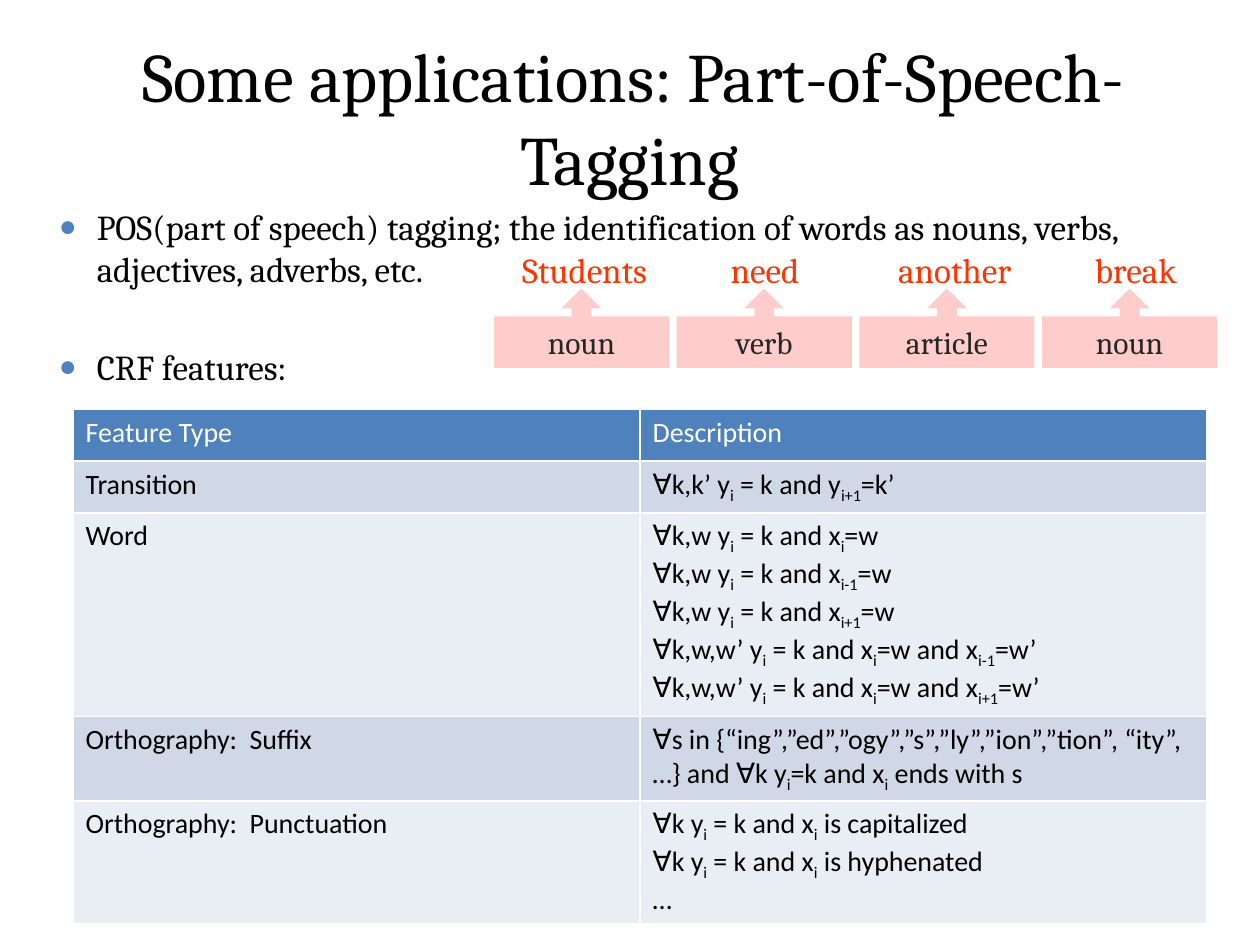
from dataclasses import dataclass

from lxml.etree import SubElement
from pptx import Presentation
from pptx.dml.color import RGBColor
from pptx.enum.shapes import MSO_SHAPE as Preset
from pptx.enum.text import MSO_ANCHOR as Anchor, PP_ALIGN as Align
from pptx.oxml import parse_xml
from pptx.oxml.ns import nsdecls, qn
from pptx.util import Inches, Pt

BLACK = RGBColor(0x00, 0x00, 0x00)
WHITE = RGBColor(0xFF, 0xFF, 0xFF)
BLUE = RGBColor(0x4F, 0x81, 0xBD)
RED = RGBColor(0xFF, 0x33, 0x00)
PINK = RGBColor(0xFF, 0xCC, 0xCC)
CHARCOAL = RGBColor(0x26, 0x26, 0x26)
BAND_DARK = RGBColor(0xD0, 0xD8, 0xE8)
BAND_LIGHT = RGBColor(0xE9, 0xED, 0xF4)

TITLE_FORMAT = {"name": "Cambria", "size": Pt(39.6)}
BODY_FORMAT = {"name": "Cambria", "size": Pt(20)}
TAG_FORMAT = {"name": "Cambria", "size": Pt(18)}
TABLE_FORMAT = {"name": "Calibri", "size": Pt(16)}


@dataclass(frozen=True)
class TaggedWord:
    word: str
    tag: str
    left: float
    align: Align = Align.LEFT


@dataclass(frozen=True)
class Bullet:
    text: str
    space_before: float


@dataclass(frozen=True)
class Feature:
    """A table row; in each rule, every second part between bars is a subscript."""
    kind: str
    rules: tuple[str, ...]


SENTENCE = (
    TaggedWord("Students", "noun", 3.98, Align.CENTER),
    TaggedWord("need", "verb", 5.7),
    TaggedWord("another", "article", 7.03),
    TaggedWord("break", "noun", 8.59),
)
BULLETS = (
    Bullet("POS(part of speech) tagging; the identification of words as nouns, "
           "verbs, adjectives, adverbs, etc.", 4),
    Bullet("CRF features:", 32),
)
FEATURES = (
    Feature("Feature Type", ("Description",)),
    Feature("Transition", ("∀k,k’ y|i| = k and y|i+1|=k’",)),
    Feature("Word", (
        "∀k,w y|i| = k and x|i|=w",
        "∀k,w y|i| = k and x|i-1|=w",
        "∀k,w y|i| = k and x|i+1|=w",
        "∀k,w,w’ y|i| = k and x|i|=w and x|i-1|=w’",
        "∀k,w,w’ y|i| = k and x|i|=w and x|i+1|=w’",
    )),
    Feature("Orthography:  Suffix", (
        "∀s in {“ing”,”ed”,”ogy”,”s”,”ly”,”ion”,”tion”, “ity”, …} "
        "and ∀k y|i|=k and x|i| ends with s",
    )),
    Feature("Orthography:  Punctuation", (
        "∀k y|i| = k and x|i| is capitalized",
        "∀k y|i| = k and x|i| is hyphenated",
        "…",
    )),
)


def add_span(para, text: str, font_format: dict, color: RGBColor):
    span = para.add_run()
    span.text = text
    for attribute, value in font_format.items():
        setattr(span.font, attribute, value)
    span.font.color.rgb = color
    return span


def add_box(shapes, left: float, top: float, width: float, height: float):
    box = shapes.add_textbox(Inches(left), Inches(top), Inches(width), Inches(height))
    box.text_frame.word_wrap = True
    return box


def add_title(page, text: str) -> None:
    frame = add_box(page.shapes, 0.5, 0.3, 9, 1.25).text_frame
    frame.vertical_anchor = Anchor.MIDDLE
    para = frame.paragraphs[0]
    para.alignment = Align.CENTER
    add_span(para, text, TITLE_FORMAT, BLACK)


def add_sentence(page) -> None:
    group = page.shapes.add_group_shape()
    for index, item in enumerate(SENTENCE):
        label = add_box(group.shapes, item.left, 1.92, 1.32, 0.44)
        para = label.text_frame.paragraphs[0]
        para.alignment = item.align
        add_span(para, item.word, BODY_FORMAT, RED)

        callout = group.shapes.add_shape(
            Preset.UP_ARROW_CALLOUT, Inches(3.92 + 1.45 * index), Inches(2.29),
            Inches(1.39), Inches(0.63))
        callout.shadow.inherit = False
        callout.fill.solid()
        callout.fill.fore_color.rgb = PINK
        callout.line.fill.background()
        callout.text_frame.vertical_anchor = Anchor.MIDDLE
        para = callout.text_frame.paragraphs[0]
        para.alignment = Align.CENTER
        add_span(para, item.tag, TAG_FORMAT, CHARCOAL)


def set_bullet(para) -> None:
    properties = para._p.get_or_add_pPr()
    properties.set("marL", str(Inches(0.3)))
    properties.set("indent", str(-Inches(0.3)))
    color = SubElement(properties, qn("a:buClr"))
    SubElement(color, qn("a:srgbClr"), val=str(BLUE))
    SubElement(properties, qn("a:buSzPct"), val="85000")
    SubElement(properties, qn("a:buFont"), typeface="Arial")
    SubElement(properties, qn("a:buChar"), char="●")


def add_bullets(page) -> None:
    frame = add_box(page.shapes, 0.37, 1.58, 9.3, 5).text_frame
    for index, bullet in enumerate(BULLETS):
        para = frame.add_paragraph() if index else frame.paragraphs[0]
        para.space_before = Pt(bullet.space_before)
        set_bullet(para)
        add_span(para, bullet.text, BODY_FORMAT, BLACK)


def set_borders(cell) -> None:
    properties = cell._tc.get_or_add_tcPr()
    for position, side in enumerate(("lnL", "lnR", "lnT", "lnB")):
        properties.insert(position, parse_xml(
            f'<a:{side} {nsdecls("a")} w="{Pt(1)}"><a:solidFill>'
            f'<a:srgbClr val="{WHITE}"/></a:solidFill></a:{side}>'))


def fill_cell(cell, lines: tuple[str, ...], fill: RGBColor, color: RGBColor) -> None:
    cell.fill.solid()
    cell.fill.fore_color.rgb = fill
    set_borders(cell)
    frame = cell.text_frame
    for index, line in enumerate(lines):
        para = frame.add_paragraph() if index else frame.paragraphs[0]
        for position, part in enumerate(line.split("|")):
            span = add_span(para, part, TABLE_FORMAT, color)
            if position % 2:
                span.font._element.set("baseline", "-25000")


def add_feature_table(page) -> None:
    holder = page.shapes.add_table(
        len(FEATURES), 2, Inches(0.58), Inches(3.25), Inches(9), Inches(3.78))
    table = holder.table
    for row_index, feature in enumerate(FEATURES):
        table.rows[row_index].height = Inches(0.41)
        if row_index == 0:
            fill, color = BLUE, WHITE
        else:
            fill, color = (BAND_DARK if row_index % 2 else BAND_LIGHT), BLACK
        fill_cell(table.cell(row_index, 0), (feature.kind,), fill, color)
        fill_cell(table.cell(row_index, 1), feature.rules, fill, color)
    holder.height = Inches(3.78)


def main() -> None:
    deck = Presentation()
    deck.slide_width, deck.slide_height = Inches(10), Inches(7.5)
    page = deck.slides.add_slide(deck.slide_layouts[6])
    add_title(page, "Some applications: Part-of-Speech-Tagging")
    add_sentence(page)
    add_bullets(page)
    add_feature_table(page)
    deck.save("out.pptx")


if __name__ == "__main__":
    main()
